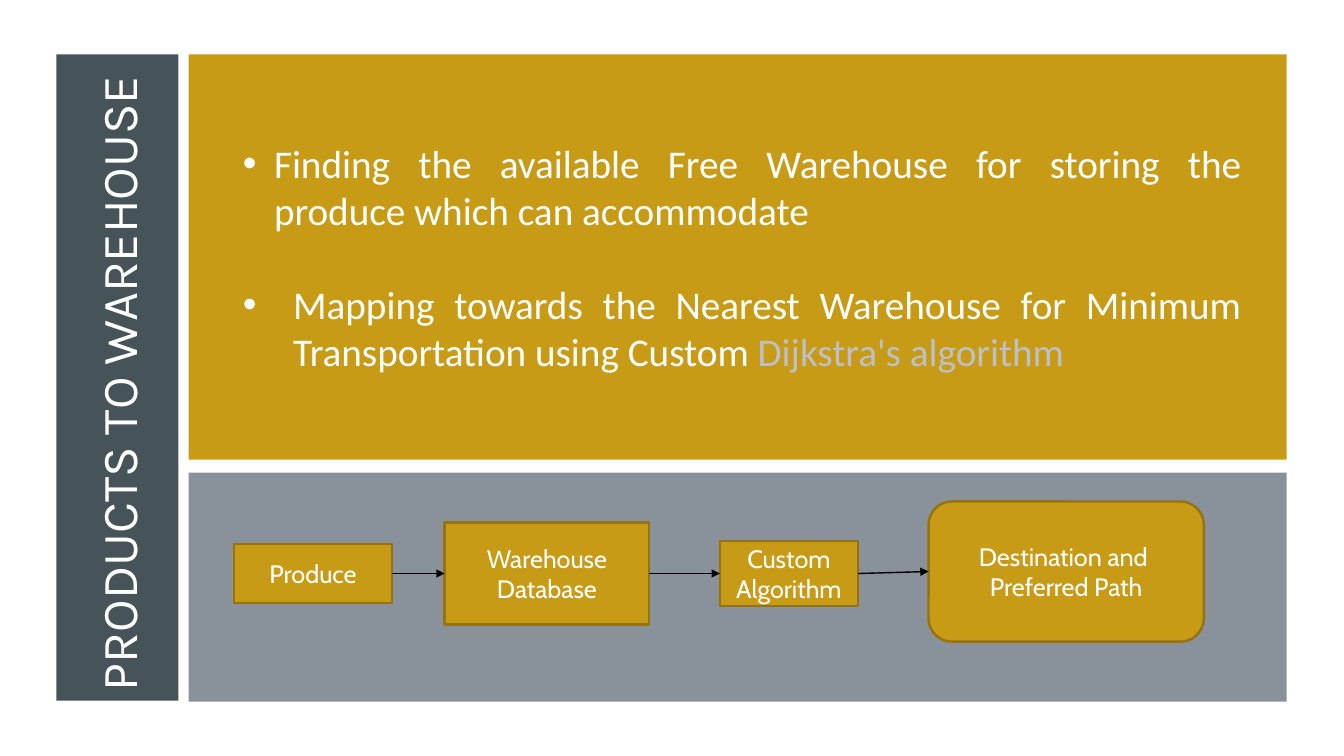
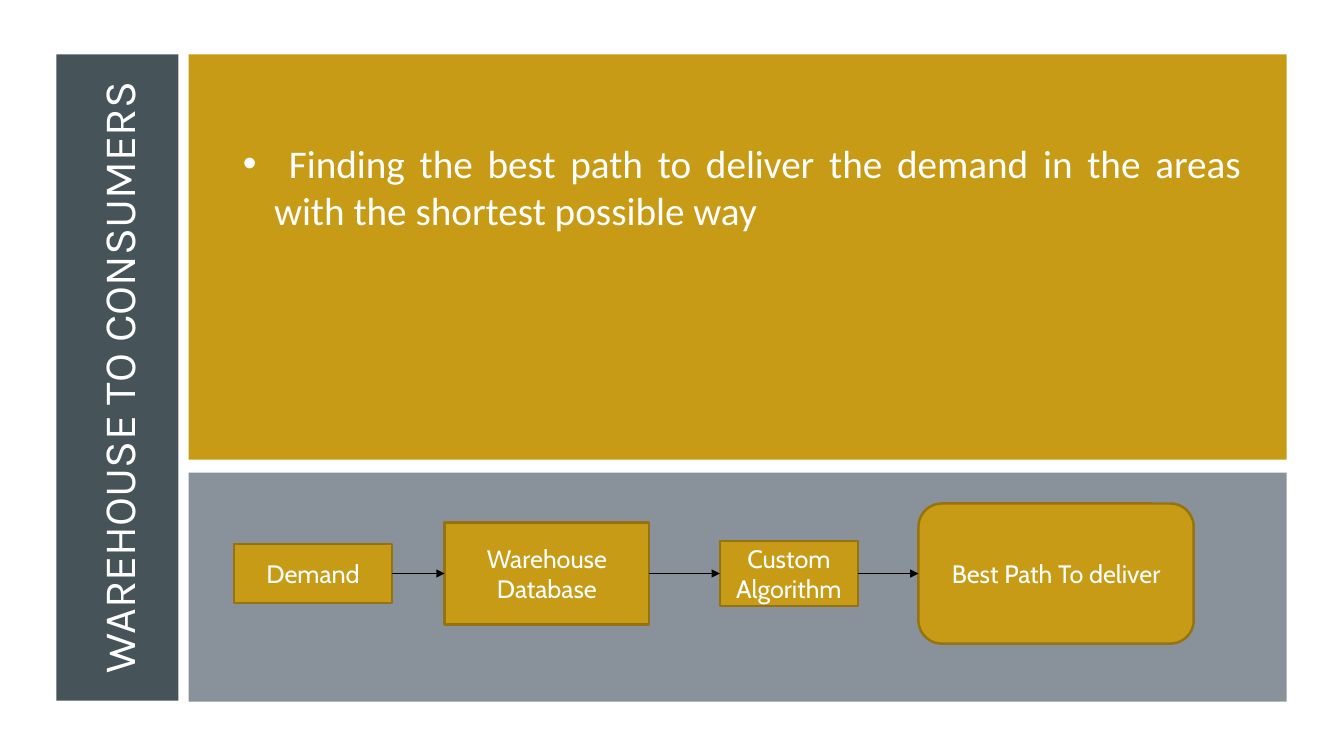
from dataclasses import dataclass

from pptx import Presentation
from pptx.dml.color import RGBColor
from pptx.enum.shapes import MSO_CONNECTOR, MSO_SHAPE
from pptx.enum.text import MSO_ANCHOR, PP_ALIGN
from pptx.oxml.ns import qn
from pptx.util import Inches, Pt
from lxml.etree import SubElement


@dataclass(frozen=True)
class Theme:
    white: str = "FFFFFF"
    slate: str = "465359"
    gold: str = "C89B16"
    edge: str = "947310"
    grey: str = "6C7781"
    pale: str = "BDC1C6"
    black: str = "000000"
    head: str = "Karla"
    body: str = "Calibri"
    label: str = "Cabin"
    body_size: int = 28
    label_size: int = 18


THEME = Theme()

# Content: each bullet is (indent, [(text, colour), ...]); goal is (text, left, middle)
SLIDES = [
    {
        "title": "PRODUCTS TO WAREHOUSE ",
        "size": 36,
        "points": [
            (0.31, [("Finding the available Free Warehouse for storing the "
                     "produce which can accommodate", THEME.white)]),
            (0.5, [("Mapping towards the Nearest Warehouse for Minimum "
                    "Transportation using Custom ", THEME.white),
                   ("Dijkstra's algorithm", THEME.pale)]),
        ],
        "start": "Produce",
        "goal": ("Destination and \nPreferred Path", 9.21, 5.67),
    },
    {
        "title": "WAREHOUSE TO CONSUMERS",
        "size": 32,
        "points": [
            (0.31, [(" Finding the best path to deliver the demand in the "
                     "areas with the shortest possible way", THEME.white)]),
        ],
        "start": "Demand",
        "goal": ("Best Path To deliver", 9.11, 5.69),
    },
]

# Layout: left, top, width, height of the three panels
SIDE = (0.56, 0.54, 1.21, 6.41)
MAIN = (1.87, 0.54, 10.89, 4.02)
BAND = (1.87, 4.69, 10.89, 2.27)
TITLE_LEN = 6.74
FLOW_MID = 5.69


def color(code):
    return RGBColor.from_string(code)


def style(run, font, size, code):
    run.font.name = font
    run.font.size = Pt(size)
    run.font.color.rgb = color(code)


def add_box(slide, kind, area, fill, edge=None):
    box = slide.shapes.add_shape(kind, *map(Inches, area))
    box.shadow.inherit = False
    box.fill.solid()
    box.fill.fore_color.rgb = color(fill)
    if edge:
        box.line.color.rgb = color(edge)
        box.line.width = Pt(1.75)
    else:
        box.line.fill.background()
    return box


def add_panels(slide):
    for area, fill in ((SIDE, THEME.slate), (MAIN, THEME.gold), (BAND, THEME.grey)):
        panel = add_box(slide, MSO_SHAPE.RECTANGLE, area, fill)
    # The last panel, the band, is slightly see-through
    tint = panel.fill._xPr.find(qn("a:solidFill"))[0]
    SubElement(tint, qn("a:alpha"), val="80000")


def add_title(slide, text, size):
    left, top, width, height = SIDE
    area = (left + (width - TITLE_LEN) / 2, top + (height - width) / 2,
            TITLE_LEN, width)
    box = slide.shapes.add_textbox(*map(Inches, area))
    box.rotation = 270
    frame = box.text_frame
    frame.word_wrap = True
    frame.vertical_anchor = MSO_ANCHOR.MIDDLE
    frame.text = text
    para = frame.paragraphs[0]
    para.alignment = PP_ALIGN.CENTER
    style(para.runs[0], THEME.head, size, THEME.white)


def add_points(slide, points):
    box = slide.shapes.add_textbox(*map(Inches, (2.31, 1.33, 10.1, 3)))
    frame = box.text_frame
    frame.word_wrap = True
    for i, (indent, parts) in enumerate(points):
        para = frame.add_paragraph() if i else frame.paragraphs[0]
        para.alignment = PP_ALIGN.JUSTIFY
        para.space_before = Pt(34 if i else 0)
        props = para._p.get_or_add_pPr()
        props.set("marL", str(Inches(indent)))
        props.set("indent", str(-Inches(indent)))
        SubElement(props, qn("a:buFont"), typeface="Arial")
        SubElement(props, qn("a:buChar"), char="•")
        for text, code in parts:
            run = para.add_run()
            run.text = text
            style(run, THEME.body, THEME.body_size, code)


def add_step(slide, kind, text, left, mid, width, height):
    area = (left, mid - height / 2, width, height)
    box = add_box(slide, kind, area, THEME.gold, THEME.edge)
    frame = box.text_frame
    frame.word_wrap = True
    frame.vertical_anchor = MSO_ANCHOR.MIDDLE
    frame.text = text
    for para in frame.paragraphs:
        para.alignment = PP_ALIGN.CENTER
        style(para.runs[0], THEME.label, THEME.label_size, THEME.white)
    return box


def add_arrow(slide, tail, head):
    link = slide.shapes.add_connector(MSO_CONNECTOR.STRAIGHT, 0, 0, 0, 0)
    link.begin_connect(tail, 3)
    link.end_connect(head, 1)
    link.line.color.rgb = color(THEME.black)
    link.line.width = Pt(1)
    SubElement(link.line._get_or_add_ln(), qn("a:tailEnd"), type="triangle")
    SubElement(link._element.spPr, qn("a:effectLst"))


def add_flow(slide, start, goal):
    rect, bend = MSO_SHAPE.RECTANGLE, MSO_SHAPE.ROUNDED_RECTANGLE
    steps = [
        (rect, start, 2.32, FLOW_MID, 1.57, 0.59),
        (rect, "Warehouse Database", 4.41, FLOW_MID, 2.03, 1.01),
        (rect, "Custom\nAlgorithm", 7.14, FLOW_MID, 1.37, 0.65),
        (bend, *goal, 2.73, 1.39),
    ]
    boxes = [add_step(slide, *step) for step in steps]
    for tail, head in zip(boxes, boxes[1:]):
        add_arrow(slide, tail, head)


def main():
    deck = Presentation()
    deck.slide_width, deck.slide_height = Inches(13.33), Inches(7.5)
    for data in SLIDES:
        slide = deck.slides.add_slide(deck.slide_layouts[6])
        add_panels(slide)
        add_title(slide, data["title"], data["size"])
        add_points(slide, data["points"])
        add_flow(slide, data["start"], data["goal"])
    deck.save("out.pptx")


if __name__ == "__main__":
    main()
